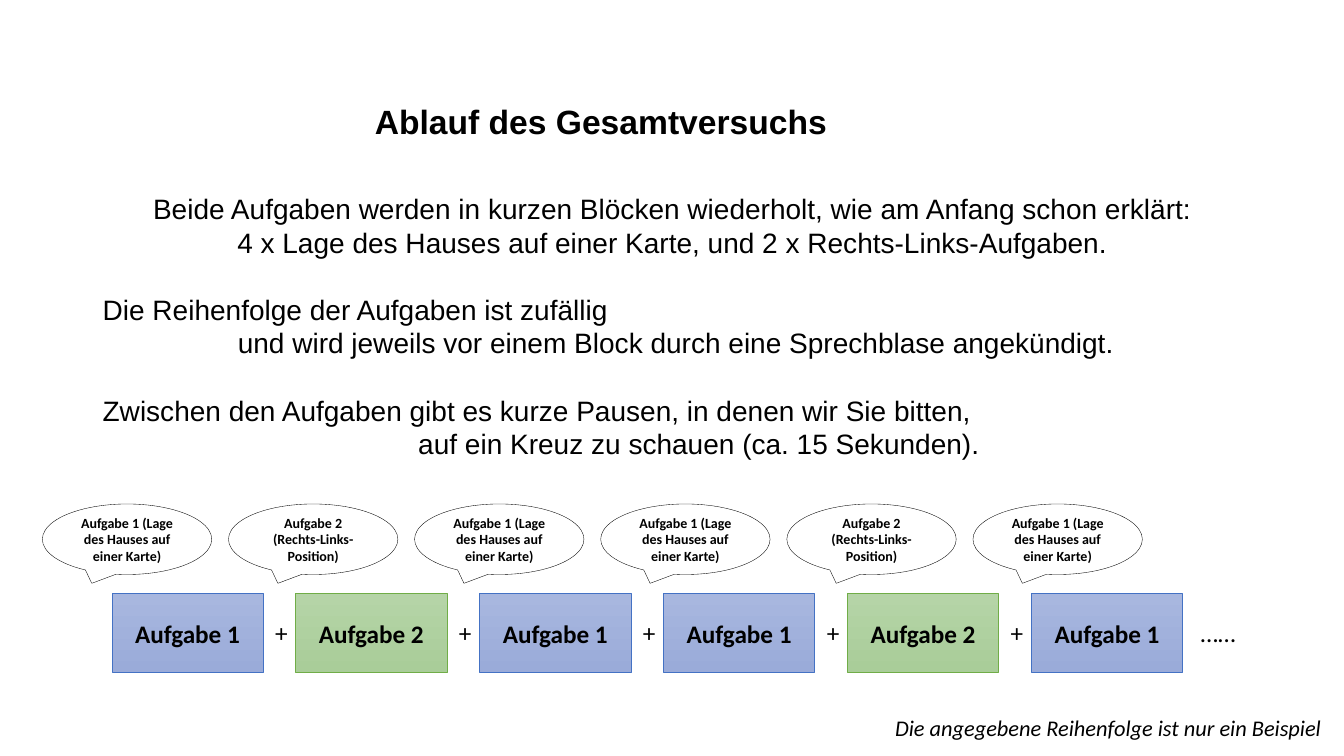
from pptx import Presentation
from pptx.dml.color import RGBColor
from pptx.enum.shapes import MSO_SHAPE as Shape
from pptx.enum.text import MSO_ANCHOR as Anchor, PP_ALIGN as Align
from pptx.util import Inches, Pt

COLOURS = {"text": "000000", "bubble": "FFFFFF"}
TASKS = {
    1: {"announcement": "Aufgabe 1 (Lage des Hauses auf einer Karte)",
        "top": "A8B7DF", "bottom": "9AABD9", "line": "4472C4"},
    2: {"announcement": "Aufgabe 2 (Rechts-Links-Position)",
        "top": "B5D4A7", "bottom": "A9CD99", "line": "70AD47"},
}
SEQUENCE = (1, 2, 1, 1, 2, 1)
# Text, alignment and indent of the second line in inches
STATEMENTS = (
    ("Beide Aufgaben werden in kurzen Blöcken wiederholt, wie am Anfang schon erklärt:\v"
     "4 x Lage des Hauses auf einer Karte, und 2 x Rechts-Links-Aufgaben.", Align.CENTER, 0),
    ("Die Reihenfolge der Aufgaben ist zufällig\v"
     "und wird jeweils vor einem Block durch eine Sprechblase angekündigt.", Align.LEFT, 1.34),
    ("Zwischen den Aufgaben gibt es kurze Pausen, in denen wir Sie bitten,\v"
     "auf ein Kreuz zu schauen (ca. 15 Sekunden).", Align.LEFT, 3.13),
)


def colour(code):
    return RGBColor.from_string(code)


def format_paragraph(paragraph, size, name="Calibri", align=Align.LEFT, bold=False, italic=False):
    paragraph.alignment = align
    font = paragraph.font
    font.name, font.size, font.bold, font.italic = name, Pt(size), bold, italic
    font.color.rgb = colour(COLOURS["text"])


def set_text(shape, text, size, wrap=True, **style):
    frame = shape.text_frame
    frame.word_wrap = wrap
    frame.text = text
    format_paragraph(frame.paragraphs[0], size, **style)


def add_label(slide, box, text, size, **style):
    label = slide.shapes.add_textbox(*map(Inches, box))
    set_text(label, text, size, **style)


def add_outlined(slide, kind, box, line, width, text, size):
    """Add a preset shape with a thin outline and bold centred text."""
    shape = slide.shapes.add_shape(kind, *map(Inches, box))
    shape.shadow.inherit = False
    shape.line.color.rgb = colour(line)
    shape.line.width = Pt(width)
    set_text(shape, text, size, align=Align.CENTER, bold=True)
    shape.text_frame.vertical_anchor = Anchor.MIDDLE
    return shape


def place_title(slide, box, text):
    title = slide.shapes.title
    title.left, title.top, title.width, title.height = map(Inches, box)
    set_text(title, text, 24, name="Arial", align=Align.CENTER, bold=True)
    title.text_frame.vertical_anchor = Anchor.MIDDLE


def add_statements(slide, box):
    frame = slide.shapes.add_textbox(*map(Inches, box)).text_frame
    frame.word_wrap = True
    for index, (text, align, indent) in enumerate(STATEMENTS):
        paragraph = frame.add_paragraph() if index else frame.paragraphs[0]
        paragraph.text = text
        paragraph.line_spacing = Pt(24)
        if index:
            paragraph.space_before = Pt(24)
        if indent:
            properties = paragraph._p.get_or_add_pPr()
            properties.set("marL", str(Inches(indent)))
            properties.set("indent", str(-Inches(indent)))
        format_paragraph(paragraph, 20, name="Arial", align=align)


def add_blocks(slide, box):
    """Add the row of task blocks, joined by plus signs and ending in dots."""
    left, top, width, height = box
    block_width, plus_width = 1.5, 0.31
    pitch = (width - block_width) / (len(SEQUENCE) - 1)
    label_top = top + 0.19
    for index, number in enumerate(SEQUENCE):
        task = TASKS[number]
        x = left + index * pitch
        block = add_outlined(slide, Shape.RECTANGLE, (x, top, block_width, height),
                             task["line"], 0.5, f"Aufgabe {number}", 18)
        block.fill.gradient()
        block.fill.gradient_angle = 270
        for stop, end in zip(block.fill.gradient_stops, ("top", "bottom")):
            stop.color.rgb = colour(task[end])
        if index < len(SEQUENCE) - 1:
            add_label(slide, (x + block_width + 0.02, label_top, plus_width, 0.4), "+", 18)
    add_label(slide, (left + width + 0.08, label_top, 0.92, 0.4), "……", 18)


def add_bubbles(slide, box):
    left, top, width, height = box
    bubble_width = 1.68
    pitch = (width - bubble_width) / (len(SEQUENCE) - 1)
    for index, number in enumerate(SEQUENCE):
        bubble = add_outlined(slide, Shape.OVAL_CALLOUT,
                              (left + index * pitch, top, bubble_width, height),
                              COLOURS["text"], 0.25, TASKS[number]["announcement"], 10)
        bubble.fill.solid()
        bubble.fill.fore_color.rgb = colour(COLOURS["bubble"])


def build_procedure_slide(presentation):
    slide = presentation.slides.add_slide(presentation.slide_layouts[5])
    place_title(slide, (0.81, 0.95, 10.3, 0.5), "Ablauf des Gesamtversuchs")
    add_statements(slide, (0.92, 1.85, 11.5, 5.38))
    add_blocks(slide, (1.11, 5.89, 10.62, 0.78))
    add_bubbles(slide, (0.42, 5, 10.91, 0.7))
    add_label(slide, (8.78, 7.04, 4.64, 0.37),
              "Die angegebene Reihenfolge ist nur ein Beispiel", 16, wrap=False, italic=True)


def main():
    presentation = Presentation()
    presentation.slide_width, presentation.slide_height = Inches(13.33), Inches(7.5)
    build_procedure_slide(presentation)
    presentation.save("out.pptx")


if __name__ == "__main__":
    main()
